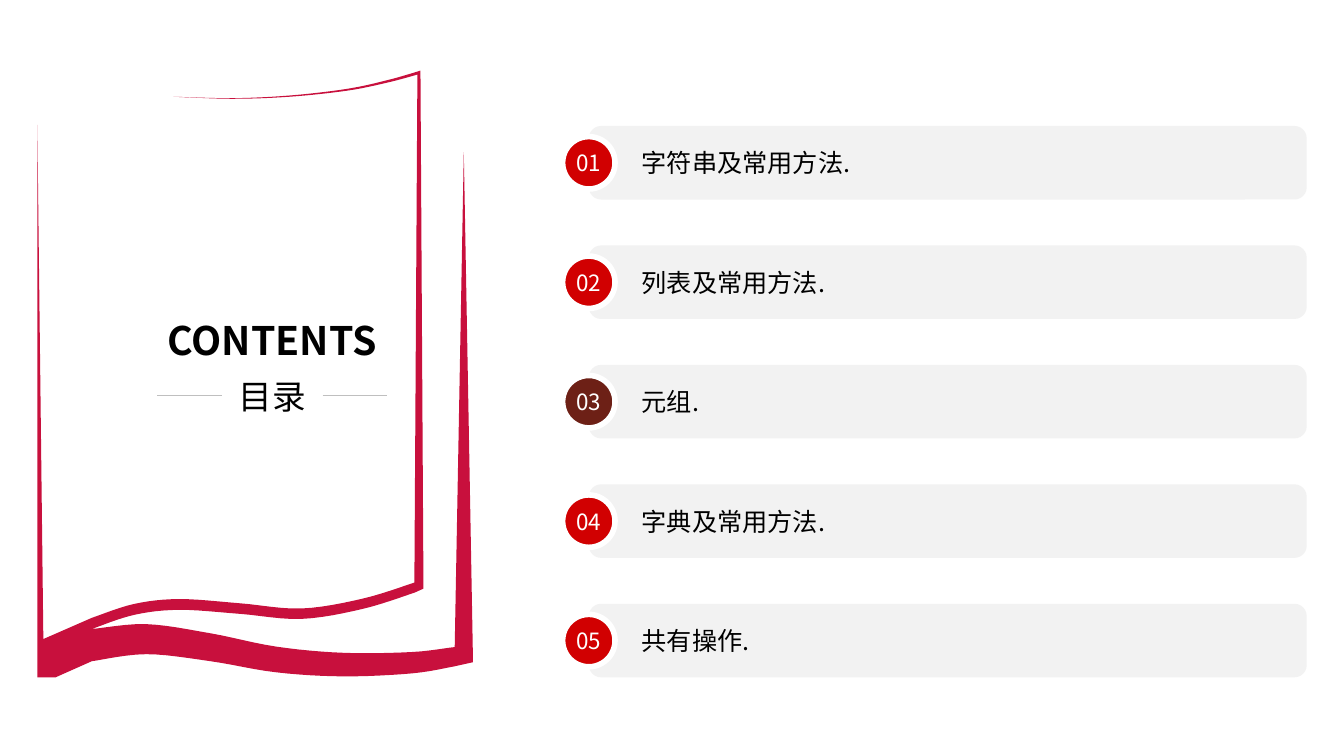
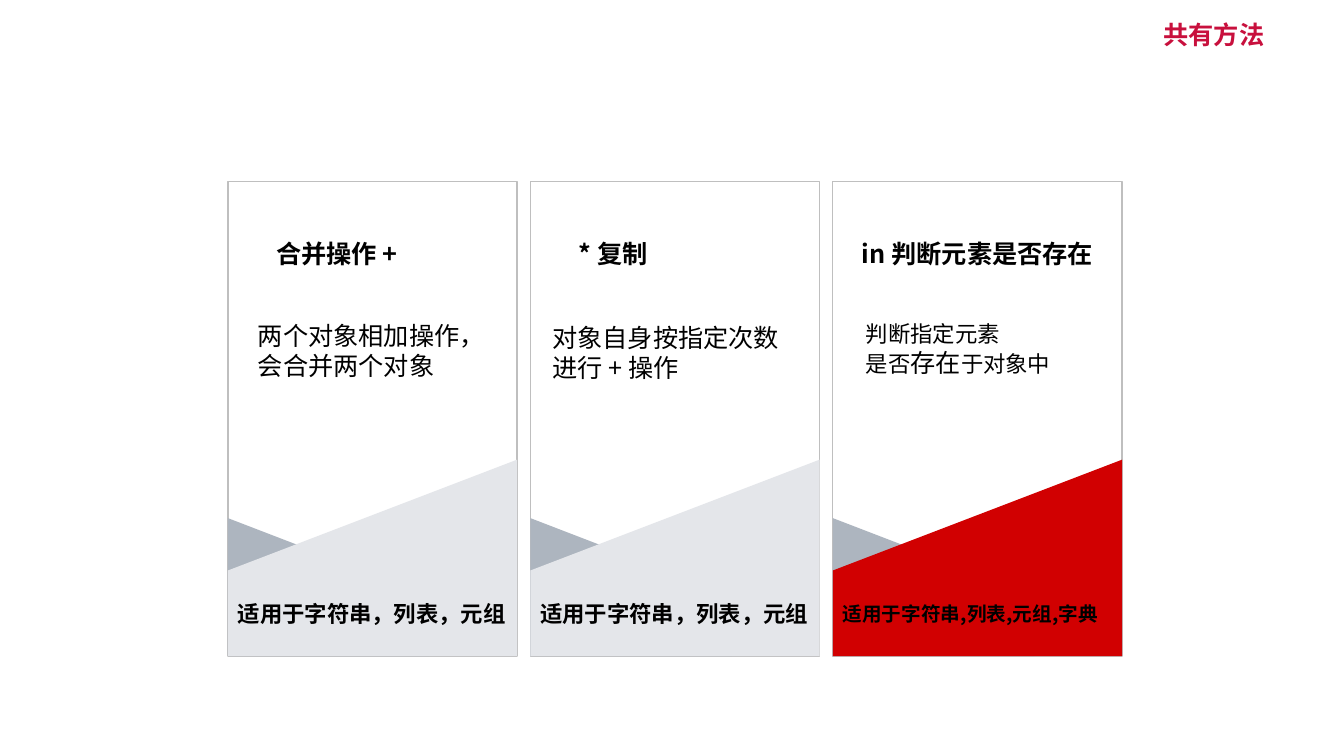
from collections import namedtuple
from dataclasses import dataclass
from lxml.etree import SubElement
from pptx import Presentation
from pptx.dml.color import RGBColor
from pptx.enum.shapes import MSO_CONNECTOR as Connector, MSO_SHAPE as Preset
from pptx.enum.text import MSO_ANCHOR as Anchor, PP_ALIGN as Align
from pptx.oxml.ns import qn
from pptx.util import Inches, Pt

Box = namedtuple("Box", "left top width height")
Entry = namedtuple("Entry", "number label color")
Card = namedtuple("Card", "heading heading_inset heading_align body body_left body_top "
                          "scope scope_size accent")


@dataclass(frozen=True)
class Theme:
    """Colours, type sizes and the font shared by the slides."""
    font: str = "Noto Sans CJK SC"
    ink: str = "000000"
    white: str = "FFFFFF"
    crimson: str = "C8103D"
    red: str = "D10001"
    brown: str = "6D2016"
    bar: str = "F2F2F2"
    rule: str = "BFBFBF"
    fold: str = "ADB5BF"
    pale: str = "E4E6EA"
    display: int = 28
    subtitle: int = 24
    text: int = 18
    small: int = 16
    note: int = 14


THEME = Theme()


def rgb(code):
    """Turn a hex code into a colour."""
    return RGBColor.from_string(code)


def inches(values):
    """Turn numbers into lengths."""
    return [Inches(value) for value in values]


def paint(shape, fill=None, line=None, weight=1):
    """Set the fill and outline of a shape and drop its shadow."""
    shape.shadow.inherit = False
    if fill:
        shape.fill.solid()
        shape.fill.fore_color.rgb = rgb(fill)
    else:
        shape.fill.background()
    if line:
        shape.line.color.rgb = rgb(line)
        shape.line.width = Pt(weight)
    else:
        shape.line.fill.background()
    return shape


def add_preset(slide, preset, box, **style):
    """Add a painted preset shape."""
    return paint(slide.shapes.add_shape(preset, *inches(box)), **style)


def add_outline(slide, box, points, fill):
    """Add a filled polygon through points measured from the corner of a box."""
    start, *rest = [tuple(inches((box.left + x, box.top + y))) for x, y in points]
    builder = slide.shapes.build_freeform(*start)
    builder.add_line_segments(rest, close=True)
    return paint(builder.convert_to_shape(), fill=fill)


def add_rule(slide, start, end):
    """Add a thin grey line."""
    rule = slide.shapes.add_connector(Connector.STRAIGHT, *inches(start + end))
    rule.line.color.rgb = rgb(THEME.rule)
    rule.line.width = Pt(0.25)
    SubElement(rule.element.spPr, qn("a:effectLst"))


def write(shape, lines, size=THEME.text, color=THEME.ink, bold=False, align=Align.LEFT,
          anchor=Anchor.MIDDLE, wrap=True, indent=0, right_inset=0.1):
    """Fill a shape with lines, each a string or a list of (text, size) runs."""
    frame = shape.text_frame
    frame.word_wrap = wrap
    frame.vertical_anchor = anchor
    frame.margin_right = Inches(right_inset)
    for index, line in enumerate(lines):
        paragraph = frame.add_paragraph() if index else frame.paragraphs[0]
        paragraph.alignment = align
        paragraph._p.get_or_add_pPr().set("marL", str(Inches(indent)))
        for text, run_size in [(line, size)] if isinstance(line, str) else line:
            run = paragraph.add_run()
            run.text = text
            run.font.name = THEME.font
            run.font.size = Pt(run_size)
            run.font.bold = bold
            run.font.color.rgb = rgb(color)
            SubElement(run.font._element, qn("a:ea"), typeface=THEME.font)


def add_text(slide, box, lines, **style):
    """Add a text box and write in it."""
    write(slide.shapes.add_textbox(*inches(box)), lines, **style)


def spline(before, start, end, after, t):
    """Return the Catmull-Rom value between start and end at fraction t."""
    return (2 * start + (end - before) * t
            + (2 * before - 5 * start + 4 * end - after) * t ** 2
            + (3 * start - before - 3 * end + after) * t ** 3) / 2


def smooth(knots, steps=6):
    """Return points on a smooth curve through the knots."""
    padded = [knots[0], *knots, knots[-1]]
    curve = [tuple(spline(*axis, step / steps) for axis in zip(*padded[i:i + 4]))
             for i in range(len(knots) - 1) for step in range(steps)]
    return curve + [knots[-1]]


def ribbon(knots, start_thickness, end_thickness):
    """Return the upper and lower edge of a smooth band of tapering thickness."""
    lower = smooth(knots)
    taper = (end_thickness - start_thickness) / (len(lower) - 1)
    upper = [(x, y - start_thickness - taper * i) for i, (x, y) in enumerate(lower)]
    return upper, lower


def book_outline(width, height):
    """Return the book as one outline: page top, page foot, sheet foot, edges."""
    top_upper, top_lower = ribbon(
        [(1.35, 0.26), (1.93, 0.28), (2.5, 0.26), (3.07, 0.2), (3.47, 0.12), (3.77, 0.04)],
        0, 0.03)
    page_upper, page_lower = ribbon(
        [(0.54, 5.54), (0.96, 5.4), (1.41, 5.35), (2.01, 5.39), (2.62, 5.44),
         (3.23, 5.34), (3.74, 5.18)], 0.11, 0.1)
    sheet_upper, sheet_lower = ribbon(
        [(0.54, 5.86), (1.08, 5.79), (1.72, 5.86), (2.37, 5.97), (3.04, 6.01),
         (3.72, 5.98), (4.14, 5.91)], 0.32, 0.19)
    page_edge = [(3.8, 0), (3.83, 5.14)]
    sheet_edge = [(width - 0.09, 0.81), (width, height - 0.22), (width, height - 0.15)]
    spine = [(0.18, height), (0, height), (0, 0.54), (0.06, 5.64)]
    return (top_upper + page_edge + page_lower[::-1] + sheet_upper + sheet_edge
            + sheet_lower[::-1] + spine + page_upper + top_lower[::-1])


def draw_cover(slide, box):
    """Draw the open book with the contents title on its page."""
    add_outline(slide, box, book_outline(box.width, box.height), THEME.crimson)
    middle = box.left + 2.33
    titles = [("CONTENTS", 2.36, 2.78, 0.62, THEME.display, True),
              ("目录", 2.98, 0.98, 0.49, THEME.subtitle, False)]
    for title, offset, width, height, size, bold in titles:
        add_text(slide, Box(middle - width / 2, box.top + offset, width, height), [title],
                 size=size, bold=bold, align=Align.CENTER, wrap=False)
    rule_top = box.top + 3.22
    for side in (-1, 1):
        add_rule(slide, (middle + side * 0.5, rule_top), (middle + side * 1.14, rule_top))


def draw_entry(slide, box, entry):
    """Draw one contents bar with its number badge."""
    bar = add_preset(slide, Preset.ROUNDED_RECTANGLE, box, fill=THEME.bar)
    write(bar, [entry.label], indent=0.39)
    side = 0.52
    badge = add_preset(slide, Preset.OVAL,
                       Box(box.left - side / 2, box.top + (box.height - side) / 2, side, side),
                       fill=entry.color, line=THEME.white, weight=4)
    write(badge, [entry.number], size=THEME.small, color=THEME.white,
          align=Align.CENTER, wrap=False)


def draw_card(slide, box, card):
    """Draw one operation card: frame, folded foot, scope, heading and body."""
    left, top, width, height = box
    add_preset(slide, Preset.RECTANGLE, box, line=THEME.rule)
    fold = [(0, 3.34), (2, 4.11), (2, height), (0, height)]
    foot = [(width, 2.76), (0, 3.86), (0, height), (width, height)]
    for points, fill in ((fold, THEME.fold), (foot, card.accent)):
        add_outline(slide, box, points, fill)
    add_text(slide, Box(left, top + 4.05, width + 0.13, 0.48), [card.scope],
             size=card.scope_size, bold=True, right_inset=0)
    inset = card.heading_inset
    add_text(slide, Box(left + inset, top + 0.33, width - 2 * inset, 0.76), [card.heading],
             bold=True, align=card.heading_align)
    add_text(slide, Box(left + card.body_left, top + card.body_top, 2.64, 0.71), card.body,
             anchor=Anchor.TOP)


def build_contents(slide):
    """Build the contents slide."""
    draw_cover(slide, Box(0.37, 0.7, 4.32, 6.02))
    labels = ["字符串及常用方法.", "列表及常用方法.", "元组.", "字典及常用方法.", "共有操作."]
    first_top, last_top = 1.25, 5.99
    pitch = (last_top - first_top) / (len(labels) - 1)
    for row, label in enumerate(labels):
        color = THEME.brown if label == "元组." else THEME.red
        draw_entry(slide, Box(5.84, first_top + row * pitch, 7.12, 0.73),
                   Entry(f"{row + 1:02}", label, color))


def build_shared_methods(slide):
    """Build the slide on operations shared by the types."""
    sequences = "适用于字符串，列表，元组"
    small = THEME.small
    membership = [[("判断指定元素", small)],
                  [("是否", small), ("存在", THEME.text), ("于对象中", small)]]
    cards = [
        Card("合并操作 +", 0.38, Align.LEFT, ["两个对象相加操作，会合并两个对象"], 0.2, 1.33,
             sequences, small, THEME.pale),
        Card("* 复制", 0.38, Align.LEFT, ["对象自身按指定次数进行 + 操作"], 0.12, 1.35,
             sequences, small, THEME.pale),
        Card("in 判断元素是否存在", 0.08, Align.CENTER, membership, 0.23, 1.33,
             "适用于字符串,列表,元组,字典", THEME.note, THEME.red),
    ]
    for column, card in enumerate(cards):
        draw_card(slide, Box(2.26 + column * 3, 1.8, 2.87, 4.71), card)
    add_text(slide, Box(11.44, 0.14, 1.21, 0.4), ["共有方法"], color=THEME.crimson,
             bold=True, anchor=Anchor.TOP, wrap=False)


def main():
    """Build and save the presentation."""
    deck = Presentation()
    deck.slide_width, deck.slide_height = inches((13.33, 7.5))
    for build in (build_contents, build_shared_methods):
        build(deck.slides.add_slide(deck.slide_layouts[6]))
    deck.save("out.pptx")


main()
